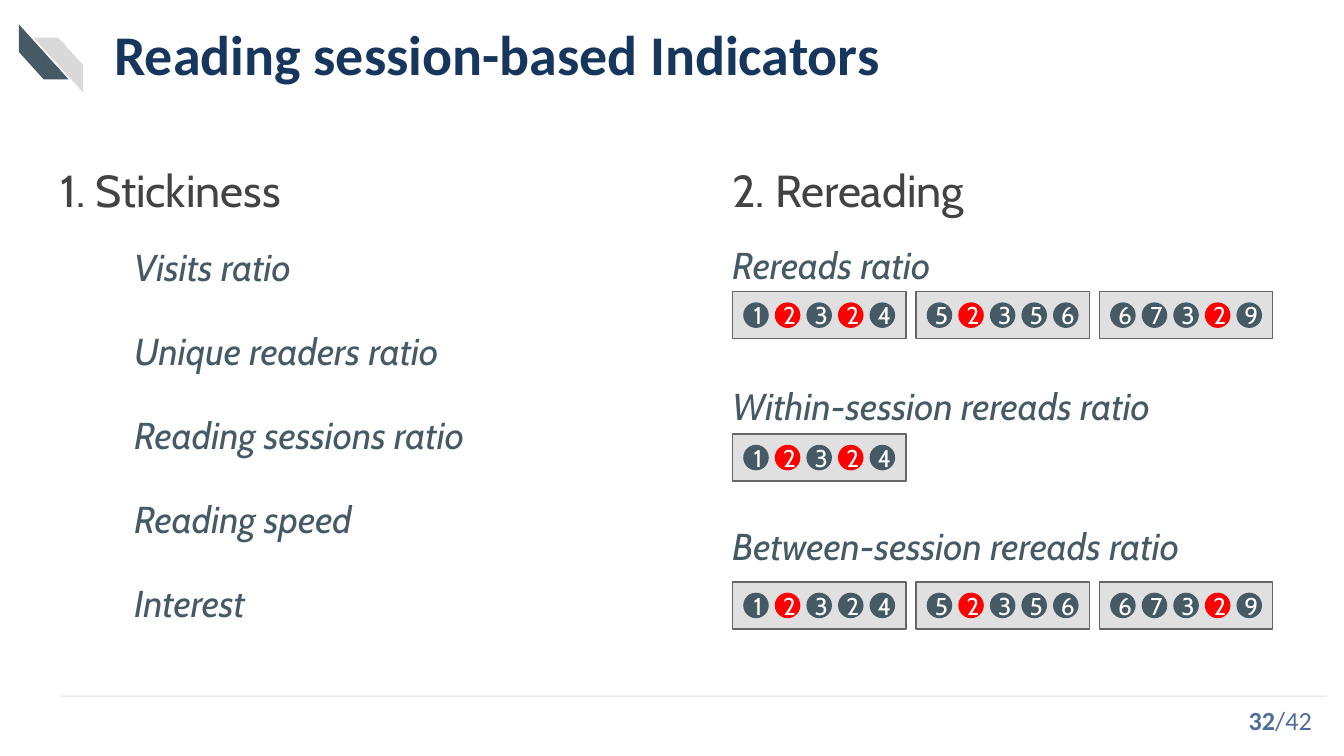
from lxml.etree import SubElement
from pptx import Presentation
from pptx.dml.color import RGBColor
from pptx.enum.shapes import MSO_CONNECTOR, MSO_SHAPE
from pptx.enum.text import MSO_ANCHOR, MSO_AUTO_SIZE, PP_ALIGN
from pptx.oxml.ns import qn
from pptx.util import Inches, Pt

COLORS = {"title": "17365D", "heading": "434343", "slate": "455A64", "red": "FF0000",
          "strip": "C2C2C2", "border": "666666", "pale": "D9D9D9", "page": "4E6E9A",
          "white": "FFFFFF"}

FORMATS = {
    "title": {"size": Pt(30), "name": "Calibri", "bold": True},
    "heading": {"size": Pt(24), "name": "Cabin"},
    "item": {"size": Pt(20), "name": "Cabin", "italic": True},
    "digit": {"size": Pt(13), "name": "Cabin"},
    "page": {"size": Pt(14), "name": "Calibri", "bold": True},
    "total": {"size": Pt(14), "name": "Calibri", "bold": False},
}

INDICATORS = ["Visits ratio", "Unique readers ratio", "Reading sessions ratio",
              "Reading speed", "Interest"]

REREADING = [
    ("Rereads ratio", 0.7, 1.12, [("12324", (1, 3)), ("52356", (1,)), ("67329", (3,))]),
    ("Within-session rereads ratio", 1.75, 2.18, [("12324", (1, 3))]),
    ("Between-session rereads ratio", 2.79, 3.28,
     [("12324", (1,)), ("52356", (1,)), ("67329", (3,))]),
]


def rgb(name):
    """Return the named colour."""
    return RGBColor.from_string(COLORS[name])


def set_alpha(parent, percent):
    """Make the solid colour below an element partly transparent."""
    color = next(parent.iter(qn("a:srgbClr")))
    SubElement(color, qn("a:alpha"), val=str(percent * 1000))


def add_run(p, text, style, color):
    """Append a run with a named style and colour to a paragraph."""
    r = p.add_run()
    r.text = text
    for key, value in FORMATS[style].items():
        setattr(r.font, key, value)
    r.font.color.rgb = rgb(color)


def format_frame(tf, insets, anchor, wrap=True):
    """Set the margins, anchor and wrapping of a text frame."""
    sides = ("margin_left", "margin_top", "margin_right", "margin_bottom")
    values = dict(zip(sides, map(Inches, insets)))
    values.update(vertical_anchor=anchor, word_wrap=wrap, auto_size=MSO_AUTO_SIZE.NONE)
    for key, value in values.items():
        setattr(tf, key, value)


def add_text(s, box, text, style, color, insets=(0.1, 0.05, 0.1, 0.05), anchor=MSO_ANCHOR.TOP):
    """Add a text box and return its first paragraph."""
    tf = s.shapes.add_textbox(*map(Inches, box)).text_frame
    format_frame(tf, insets, anchor)
    p = tf.paragraphs[0]
    add_run(p, text, style, color)
    return p


def add_filled(shapes, kind, box, color):
    """Add a borderless preset shape with a solid fill."""
    sp = shapes.add_shape(kind, *map(Inches, box))
    sp.shadow.inherit = False
    sp.fill.solid()
    sp.fill.fore_color.rgb = rgb(color)
    sp.line.fill.background()
    return sp


def add_header(s, x, y):
    """Place the stripe ornament and the slide title."""
    shapes = s.shapes.add_group_shape().shapes
    dark = add_filled(shapes, MSO_SHAPE.DIAGONAL_STRIPE, (x, y + 0.12, 0.41, 0.37), "slate")
    dark.rotation = 270
    pale = add_filled(shapes, MSO_SHAPE.DIAGONAL_STRIPE, (x + 0.13, y + 0.2, 0.37, 0.41), "pale")
    next(pale.element.iter(qn("a:xfrm"))).set("flipH", "1")
    title = s.shapes.title
    title.left, title.top, title.width, title.height = map(Inches, (x + 0.73, y, 8.94, 0.63))
    format_frame(title.text_frame, (0, 0, 0, 0), MSO_ANCHOR.MIDDLE)
    p = title.text_frame.paragraphs[0]
    p.alignment = PP_ALIGN.LEFT
    add_run(p, "Reading session-based Indicators", "title", "title")


def add_heading(s, x, y, width, height, text):
    """Place a column heading."""
    p = add_text(s, (x, y, width, height), text, "heading", "heading", (0.18, 0.1, 0.1, 0.1))
    p.line_spacing = 1.15


def add_stickiness(s, x, y):
    """Place the column of evenly spaced stickiness indicators."""
    add_heading(s, x, y, 4.45, 4.04, "1. Stickiness")
    for i, text in enumerate(INDICATORS):
        add_text(s, (x + 0.63, y + 0.72 + i * 0.625, 3.22, 0.5), text, "item", "slate")


def add_session(shapes, x, y, pages, reread):
    """Place one reading session as a strip of numbered page circles."""
    width, height, size, pad = 1.29, 0.35, 0.19, 0.08
    strip = add_filled(shapes, MSO_SHAPE.RECTANGLE, (x, y, width, height), "strip")
    set_alpha(strip.element.spPr, 50)
    strip.line.color.rgb = rgb("border")
    strip.line.width = Pt(0.75)
    step = (width - 2 * pad - size) / (len(pages) - 1)
    for i, page in enumerate(pages):
        box = (x + pad + i * step, y + pad, size, size)
        sp = add_filled(shapes, MSO_SHAPE.FLOWCHART_CONNECTOR, box,
                        "red" if i in reread else "slate")
        format_frame(sp.text_frame, (0.03, 0, 0, 0), MSO_ANCHOR.MIDDLE, wrap=False)
        p = sp.text_frame.paragraphs[0]
        p.alignment = PP_ALIGN.CENTER
        add_run(p, page, "digit", "white")


def add_rereading(s, x, y):
    """Place the rereading column with its rows of sessions."""
    add_heading(s, x, y, 4.45, 0.7, "2. Rereading")
    for text, label_y, strip_y, sessions in REREADING:
        add_text(s, (x + 0.08, y + label_y, 4.4, 0.5), text, "item", "slate")
        shapes = s.shapes.add_group_shape().shapes
        for i, (pages, reread) in enumerate(sessions):
            add_session(shapes, x + 0.18 + i * 1.365, y + strip_y, pages, reread)


def add_footer(s, x, y, width):
    """Place the footer rule and the page count."""
    rule = s.shapes.add_connector(MSO_CONNECTOR.STRAIGHT, Inches(x + width), Inches(y),
                                  Inches(x), Inches(y))
    rule.line.color.rgb = rgb("pale")
    rule.line.width = Pt(0.5)
    spPr = rule.element.spPr
    set_alpha(spPr, 83)
    SubElement(spPr, qn("a:effectLst"))
    p = add_text(s, (x + width - 2.81, y + 0.03, 2.8, 0.3), "32", "page", "page",
                 anchor=MSO_ANCHOR.MIDDLE)
    p.alignment = PP_ALIGN.RIGHT
    add_run(p, "/42", "total", "page")


def main():
    """Build and save the slide."""
    prs = Presentation()
    prs.slide_width = Inches(10)
    prs.slide_height = prs.slide_width * 9 // 16
    s = prs.slides.add_slide(prs.slide_layouts[5])
    add_header(s, 0.12, 0.08)
    add_stickiness(s, 0.27, 1.05)
    add_rereading(s, 5.27, 1.05)
    add_footer(s, 0.45, 5.18, 9.42)
    prs.save("out.pptx")


if __name__ == "__main__":
    main()
